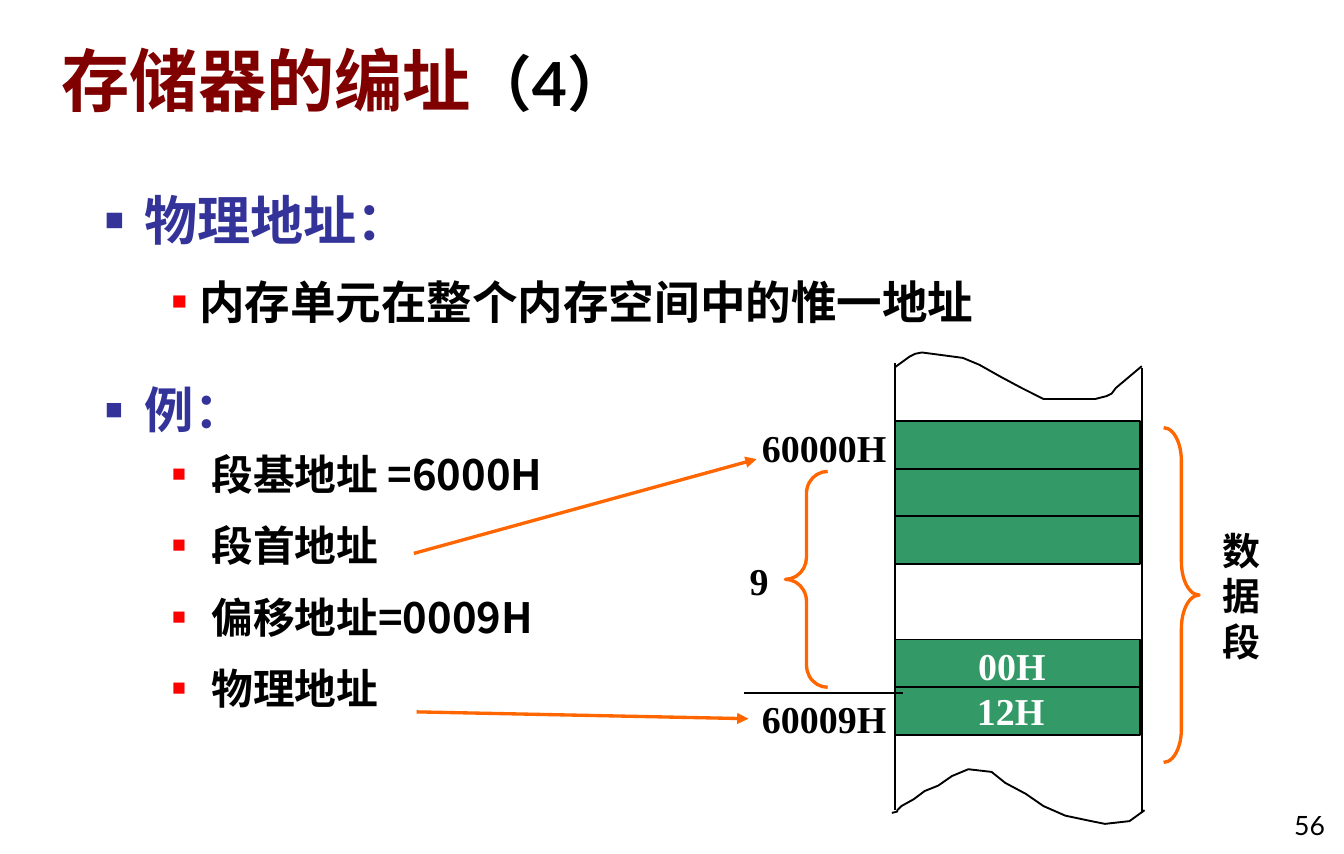
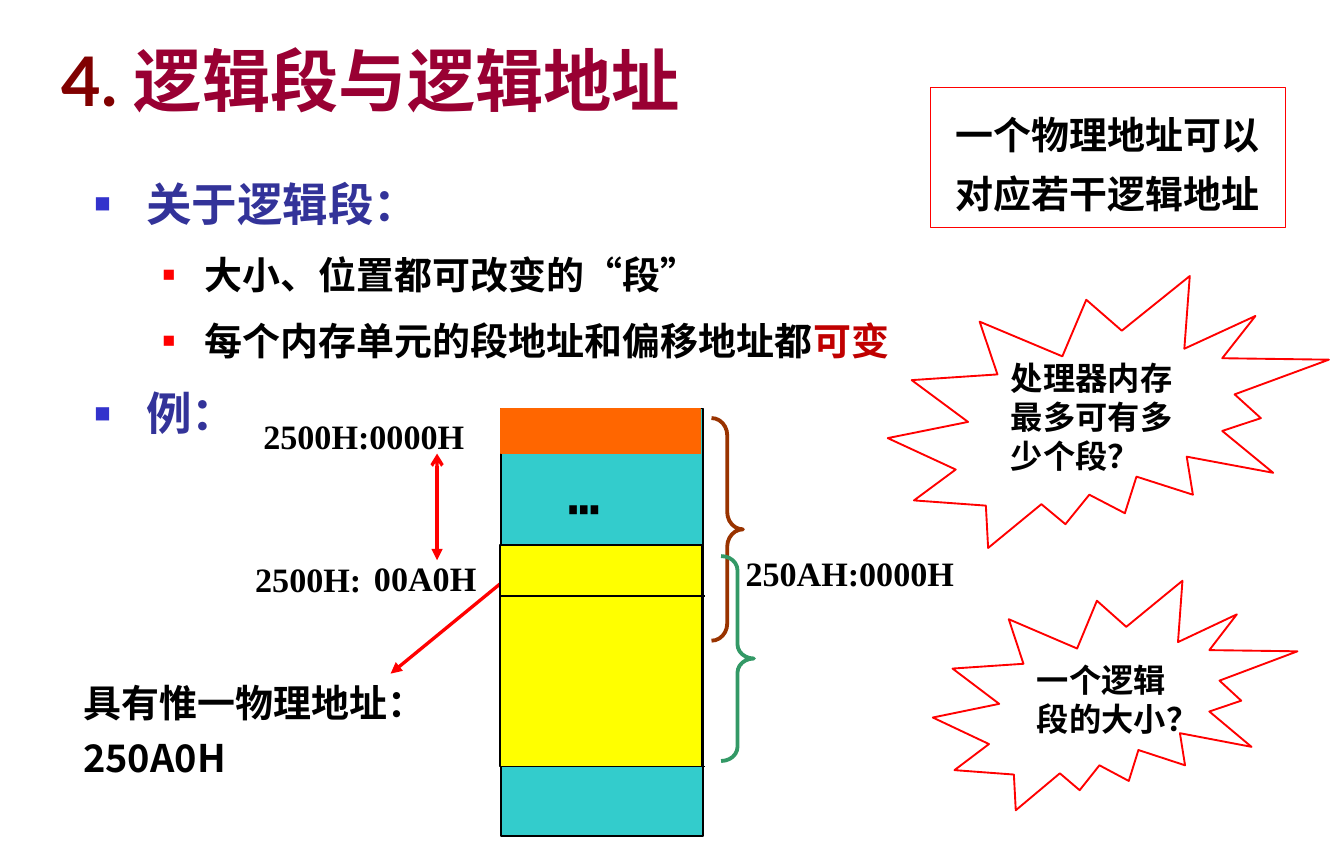
from lxml.etree import SubElement
from pptx import Presentation
from pptx.dml.color import RGBColor
from pptx.enum.shapes import MSO_CONNECTOR, MSO_SHAPE
from pptx.enum.text import MSO_ANCHOR, MSO_AUTO_SIZE, PP_ALIGN
from pptx.oxml.ns import qn
from pptx.util import Emu, Pt

PX = 9144
HUES = {
    "black": "000000", "white": "FFFFFF", "maroon": "800000", "wine": "990033",
    "navy": "333399", "blue": "3333CC", "red": "FF0000", "dark": "C00000",
    "green": "339966", "orange": "FF6600", "brown": "993300",
    "teal": "33CCCC", "yellow": "FFFF00",
}
SANS, ROMAN, LATO = "Noto Sans CJK SC", "Times New Roman", "Lato"


def px(*nums):
    return [Emu(n * PX) for n in nums]


def hue(name):
    return RGBColor.from_string(HUES[name])


def add_run(para, text, size, color="black", font=SANS, bold=True):
    run = para.add_run()
    run.text = text
    run.font.size = Pt(size)
    run.font.bold = bold
    run.font.color.rgb = hue(color)
    run.font.name = font
    east = SANS if font == LATO else font
    SubElement(run._r.get_or_add_rPr(), qn("a:ea"), typeface=east)


def set_frame(shape, anchor=MSO_ANCHOR.TOP):
    frame = shape.text_frame
    frame.word_wrap = True
    frame.auto_size = MSO_AUTO_SIZE.NONE
    frame.vertical_anchor = anchor
    return frame


def place(shape, box):
    shape.left, shape.top, shape.width, shape.height = px(*box)


def next_para(frame, index):
    return frame.add_paragraph() if index else frame.paragraphs[0]


def add_text(shape, lines, size, color="black", font=SANS, bold=True,
             align=PP_ALIGN.LEFT, anchor=MSO_ANCHOR.TOP, space=None):
    frame = set_frame(shape, anchor)
    for index, line in enumerate(lines):
        para = next_para(frame, index)
        para.alignment = align
        para.line_spacing = space
        add_run(para, line, size, color, font, bold)
    return frame


def add_label(slide, box, *lines, size=20, **style):
    shape = slide.shapes.add_textbox(*px(*box))
    add_text(shape, lines, size, **style)
    return shape


def add_title(slide, *runs):
    title = slide.shapes.title
    place(title, (35, 21, 839, 72))
    para = set_frame(title, MSO_ANCHOR.BOTTOM).paragraphs[0]
    para.alignment = PP_ALIGN.LEFT
    for text, size, color in runs:
        add_run(para, text, size, color, LATO)


def add_bullet(para, left, hang, color, scale):
    props = para._p.get_or_add_pPr()
    props.set("marL", str(left * PX))
    props.set("indent", str(-hang * PX))
    SubElement(SubElement(props, qn("a:buClr")), qn("a:srgbClr"), val=HUES[color])
    SubElement(props, qn("a:buSzPct"), val=str(scale * 1000))
    SubElement(props, qn("a:buFont"), typeface="Arial")
    SubElement(props, qn("a:buChar"), char="■")


def add_list(shape, items, marks, gap=6):
    frame = set_frame(shape)
    for index, (level, before, runs) in enumerate(items):
        para = next_para(frame, index)
        para.level = level
        add_bullet(para, *marks[level])
        para.alignment = PP_ALIGN.LEFT
        para.line_spacing = 1.2
        para.space_before = Pt(before if index else 0)
        for run in runs:
            add_run(para, *run)


def add_form(slide, kind, box, fill=None, line="black", width=1):
    shape = slide.shapes.add_shape(kind, *px(*box))
    shape.shadow.inherit = False
    if fill:
        shape.fill.solid()
        shape.fill.fore_color.rgb = hue(fill)
    else:
        shape.fill.background()
    shape.line.color.rgb = hue(line)
    shape.line.width = Pt(width)
    return shape


def add_brace(slide, kind, box, bend, color, width):
    brace = add_form(slide, kind, box, line=color, width=width)
    brace.adjustments[0] = bend


def add_line(slide, ends, color="black", width=1, head=None, tail=None):
    line = slide.shapes.add_connector(MSO_CONNECTOR.STRAIGHT, *px(*ends))
    line.line.color.rgb = hue(color)
    line.line.width = Pt(width)
    props = line._element.spPr
    for tag, kind in (("a:headEnd", head), ("a:tailEnd", tail)):
        if kind:
            SubElement(props.find(qn("a:ln")), qn(tag), type=kind)
    SubElement(props, qn("a:effectLst"))
    return line


def add_wave(slide, points):
    form = slide.shapes.build_freeform(*points[0], scale=PX)
    form.add_line_segments(points[1:], close=False)
    wave = form.convert_to_shape()
    wave.shadow.inherit = False
    wave.fill.background()
    wave.line.color.rgb = hue("black")
    wave.line.width = Pt(1)


def add_burst(slide, box, text):
    burst = add_form(slide, MSO_SHAPE.EXPLOSION2, box, line="red")
    add_text(burst, [text], 17, anchor=MSO_ANCHOR.MIDDLE)


def draw_store(slide):
    for first, count in ((308, 3), (468, 2)):
        for row in range(count):
            add_form(slide, MSO_SHAPE.RECTANGLE, (655, first + 35 * row, 180, 35), "green")
    add_line(slide, (655, 266, 655, 593))
    add_line(slide, (836, 269, 836, 595))
    add_wave(slide, [(655, 269), (666, 261), (670, 259), (675, 258), (690, 260), (705, 262),
                     (717, 267), (733, 276), (748, 284), (764, 292), (787, 292), (802, 292),
                     (810, 290), (814, 288), (817, 284), (836, 268)])
    add_wave(slide, [(653, 595), (657, 594), (657, 593), (660, 590), (669, 585), (677, 579),
                     (687, 575), (697, 568), (709, 563), (726, 565), (736, 573), (751, 581),
                     (764, 590), (780, 597), (799, 601), (809, 603), (827, 601), (838, 593)])
    for left, top, text in ((696, 465, "00H"), (695, 498, "12H")):
        add_label(slide, (left, top, 90, 44), text, color="white", font=ROMAN,
                  align=PP_ALIGN.CENTER)


def make_first(slide):
    add_title(slide, ("存储器的编址", 36, "maroon"), ("（4）", 32, "black"))
    add_label(slide, (911, 578, 69, 42), "56", size=14, font=LATO, bold=False,
              align=PP_ALIGN.RIGHT, anchor=MSO_ANCHOR.BOTTOM)
    top = (29, 29, "navy", 60)
    body = slide.placeholders[1]
    place(body, (67, 264, 414, 263))
    lines = ("段基地址 =6000H", "段首地址", "偏移地址=0009H", "物理地址")
    items = [(0, 0, [("例：", 26, "navy")])]
    items += [(1, 6 if row else 0, [(text, 22)]) for row, text in enumerate(lines)]
    add_list(body, items, (top, (78, 29, "red", 55)))
    intro = slide.shapes.add_textbox(*px(67, 123, 705, 123))
    add_list(intro, [(0, 0, [("物理地址：", 28, "navy")]),
                     (1, 6, [("内存单元在整个内存空间中的惟一地址", 24)])],
             (top, (69, 20, "red", 55)))
    draw_store(slide)
    add_brace(slide, MSO_SHAPE.RIGHT_BRACE, (852, 313, 26, 245), 0.94, "orange", 1.75)
    add_brace(slide, MSO_SHAPE.LEFT_BRACE, (575, 345, 31, 158), 0.52, "orange", 1.75)
    add_label(slide, (885, 381, 49, 110), "数据段")
    add_label(slide, (548, 306, 131, 44), "60000H", font=ROMAN)
    last = add_label(slide, (548, 504, 131, 44), "60009H", font=ROMAN)
    add_label(slide, (539, 403, 44, 44), "9", font=ROMAN)
    add_line(slide, (303, 405, 554, 336), "orange", 1.75, tail="triangle")
    arrow = add_line(slide, (305, 521, 548, 526), "orange", 1.75, tail="triangle")
    arrow.end_connect(last, 1)
    add_line(slide, (545, 507, 661, 507))


def draw_parts(slide):
    add_form(slide, MSO_SHAPE.RECTANGLE, (367, 299, 148, 313), "teal")
    add_label(slide, (406, 343, 77, 57), "┅", size=28, font=ROMAN)
    add_form(slide, MSO_SHAPE.RECTANGLE, (367, 299, 146, 33), "orange", "orange")
    add_form(slide, MSO_SHAPE.RECTANGLE, (366, 399, 148, 162), "yellow")
    for level in (436, 561):
        add_line(slide, (367, level, 516, level))


def make_second(slide):
    add_title(slide, ("4. ", 36, "maroon"), ("逻辑段与逻辑地址", 36, "wine"))
    body = slide.placeholders[1]
    place(body, (59, 116, 748, 228))
    add_list(body, [
        (0, 0, [("关于逻辑段：", 24, "navy")]),
        (1, 6, [("大小、位置都可改变的“段”", 20)]),
        (1, 6, [("每个内存单元的段地址和偏移地址都", 20), ("可变", 20, "dark")]),
        (0, 6, [("例：", 24, "navy")]),
    ], ((38, 38, "blue", 60), (81, 31, "red", 55)))
    add_brace(slide, MSO_SHAPE.RIGHT_BRACE, (521, 306, 23, 163), 0.55, "brown", 2)
    add_brace(slide, MSO_SHAPE.RIGHT_BRACE, (528, 407, 24, 150), 0.43, "green", 2)
    for left, top, width, text in ((183, 299, 186, "2500H:0000H"), (177, 404, 109, "2500H:"),
                                   (264, 403, 116, "00A0H"), (536, 399, 192, "250AH:0000H")):
        add_label(slide, (left, top, width, 40), text, size=18, font=ROMAN)
    add_line(slide, (320, 332, 320, 410), "red", 1.75, "arrow", "triangle")
    add_line(slide, (369, 425, 286, 493), "red", 1.75, tail="triangle")
    draw_parts(slide)
    add_burst(slide, (683, 425, 267, 168), "一个逻辑段的大小？")
    add_burst(slide, (650, 202, 323, 199), "处理器内存最多可有多少个段？")
    add_label(slide, (51, 486, 268, 90), "具有惟一物理地址：", "250A0H", space=1.2)
    note = add_form(slide, MSO_SHAPE.RECTANGLE, (681, 64, 260, 102), line="red", width=0.25)
    frame = add_text(note, ["一个物理地址可以对应若干逻辑地址"], 20, align=PP_ALIGN.CENTER,
                     anchor=MSO_ANCHOR.MIDDLE, space=1.3)
    frame.margin_top, frame.margin_bottom = px(8, 8)


def main():
    deck = Presentation()
    deck.slide_width, deck.slide_height = px(984, 625)
    for make in (make_first, make_second):
        make(deck.slides.add_slide(deck.slide_layouts[1]))
    deck.save("out.pptx")


if __name__ == "__main__":
    main()
